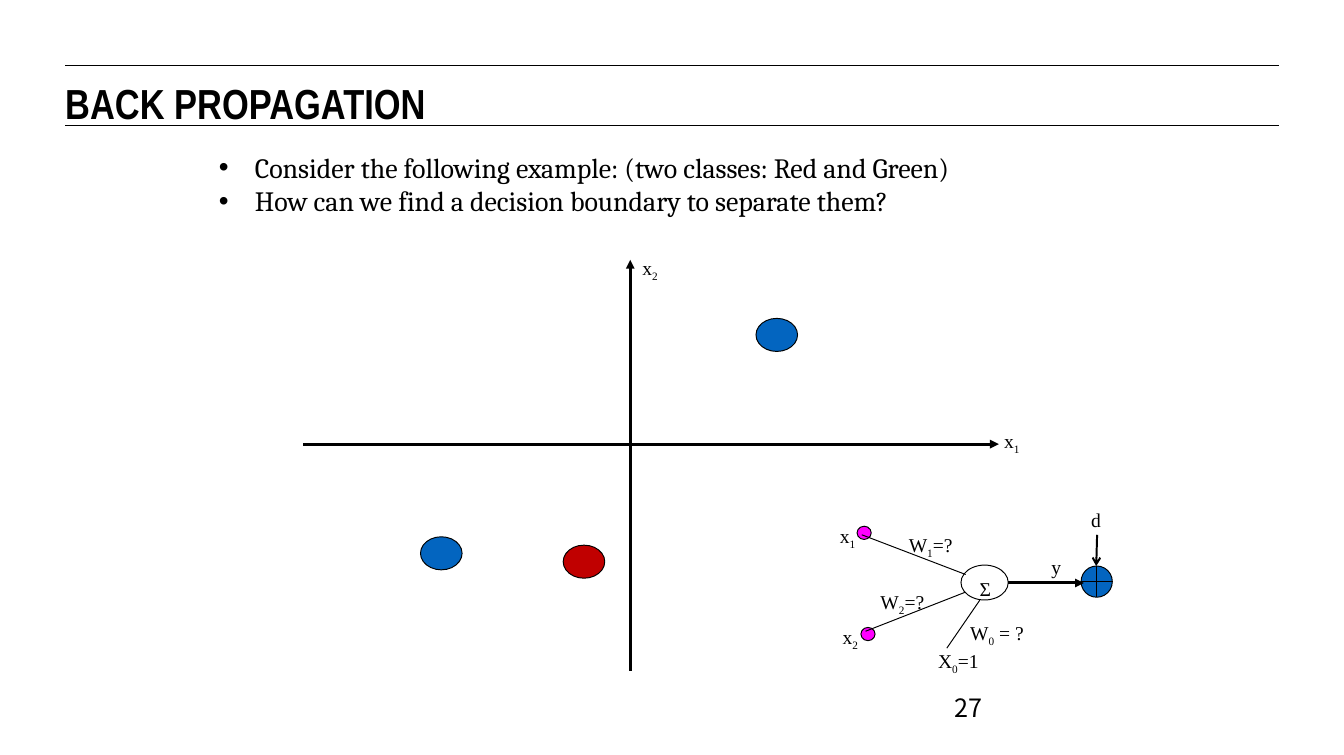
from dataclasses import dataclass

from lxml import etree
from pptx import Presentation
from pptx.dml.color import RGBColor
from pptx.enum.shapes import MSO_CONNECTOR, MSO_SHAPE
from pptx.enum.text import MSO_ANCHOR, MSO_AUTO_SIZE, PP_ALIGN
from pptx.oxml.ns import qn
from pptx.util import Pt

STRAIGHT = MSO_CONNECTOR.STRAIGHT
ELLIPSE, CROSSED_CIRCLE = MSO_SHAPE.OVAL, MSO_SHAPE.FLOWCHART_OR
TOP, LEFT = MSO_ANCHOR.TOP, PP_ALIGN.LEFT
GROW, FIXED = MSO_AUTO_SIZE.SHAPE_TO_FIT_TEXT, MSO_AUTO_SIZE.NONE


@dataclass(frozen=True)
class Theme:
    ink: str = "000000"
    blue: str = "0365C0"
    red: str = "C00000"
    pink: str = "FF00FF"
    title_font: str = "Arial Narrow"
    body_font: str = "Cambria"
    label_font: str = "Times New Roman"
    number_font: str = "Noto Sans CJK KR"
    title_size: float = 32
    body_size: float = 21.3
    label_size: float = 14.9
    number_size: float = 19.2
    thin: float = 0.75
    medium: float = 1.5
    thick: float = 2.25


THEME = Theme()

# Content: all lengths in points
PAGE_SIZE = (1024, 575.3)
TITLE = "BACK PROPAGATION"
BULLETS = [
    "Consider the following example: (two classes: Red and Green)",
    "How can we find a decision boundary to separate them?",
]
PAGE_NUMBER = "27"
MARGIN = 49.7
RULE_TOPS = (49.7, 95.8)
BULLET_INDENT = 27.4
LABEL_HEIGHT = 25.9

# Lines: start, end, width, arrowhead
AXES = [
    ((480.2, 511.2), (480.2, 198), THEME.thick, "triangle"),
    ((231.1, 338.4), (761, 338.4), THEME.thick, "triangle"),
]
NEURON_LINES = [
    ((656.6, 407.5), (735.8, 437.8), THEME.thin, None),
    ((659.5, 481), (735.1, 451.4), THEME.thin, None),
    ((721.4, 493.9), (746.6, 457.2), THEME.thin, None),
    ((768.2, 444.2), (825.8, 444.2), THEME.thick, "triangle"),
    ((835.9, 407.5), (835.2, 431.3), THEME.medium, "arrow"),
]

# Shapes: kind, left, top, width, height, fill
SAMPLE_SIZE, INPUT_SIZE = (31.7, 25.2), (10.8, 10.1)
SAMPLES = [
    (ELLIPSE, 429.1, 415.4, *SAMPLE_SIZE, THEME.red),
    (ELLIPSE, 576, 242.6, *SAMPLE_SIZE, THEME.blue),
    (ELLIPSE, 320.4, 409, *SAMPLE_SIZE, THEME.blue),
]
NEURON_NODES = [
    (ELLIPSE, 655.9, 478.1, *INPUT_SIZE, THEME.pink),
    (ELLIPSE, 653, 401, *INPUT_SIZE, THEME.pink),
    (ELLIPSE, 732.2, 430.6, 36, 26.6, None),
    (CROSSED_CIRCLE, 823.7, 431.3, 23.8, 23.8, THEME.blue),
]

# Labels: text pieces (normal, subscript, normal), left, top, width
AXIS_LABELS = [
    (("x", "1"), 757.4, 323.3, 28.1),
    (("x", "2"), 481.7, 191.5, 28.1),
]
NEURON_LABELS = [
    (("x", "1"), 632.2, 395.3, 28.1),
    (("x", "2"), 634.3, 472.3, 28.1),
    (("X", "0", "=1"), 707, 491, 47.5),
    (("W", "0", " = ?"), 731.5, 469.4, 57.6),
    (("W", "1", "=?"), 684.7, 402.5, 49.7),
    (("W", "2", "=?"), 663.1, 445.7, 49.7),
    (("Σ",), 738.7, 435.6, 24.5),
    (("y",), 793.4, 419, 23),
    (("d",), 823.7, 383, 23),
]


def style(span, name, size, bold=False):
    span.font.name, span.font.size, span.font.bold = name, Pt(size), bold
    span.font.color.rgb = RGBColor.from_string(THEME.ink)


def outline(line, width):
    line.color.rgb = RGBColor.from_string(THEME.ink)
    line.width = Pt(width)


def add_line(home, start, end, width, head=None):
    line = home.add_connector(STRAIGHT, *map(Pt, start + end))
    outline(line.line, width)
    properties = line._element.spPr
    if head:
        etree.SubElement(properties.find(qn("a:ln")), qn("a:tailEnd"), type=head)
    etree.SubElement(properties, qn("a:effectLst"))


def add_node(home, kind, left, top, width, height, fill):
    node = home.add_shape(kind, Pt(left), Pt(top), Pt(width), Pt(height))
    node.shadow.inherit = False
    outline(node.line, THEME.thin)
    if fill:
        node.fill.solid()
        node.fill.fore_color.rgb = RGBColor.from_string(fill)
    else:
        node.fill.background()


def add_box(home, left, top, width, height, wrap=True, fit=FIXED):
    box = home.add_textbox(Pt(left), Pt(top), Pt(width), Pt(height))
    frame = box.text_frame
    frame.word_wrap, frame.auto_size = wrap, fit
    frame.margin_left = frame.margin_right = Pt(7.7)
    frame.margin_top = frame.margin_bottom = Pt(3.8)
    return frame


def add_label(home, pieces, left, top, width):
    frame = add_box(home, left, top, width, LABEL_HEIGHT, wrap=False, fit=GROW)
    para = frame.paragraphs[0]
    for index, piece in enumerate(pieces):
        span = para.add_run()
        span.text = piece
        style(span, THEME.label_font, THEME.label_size)
        if index == 1:
            span.font._element.set("baseline", "-25000")


def add_diagram(home, nodes, lines, labels):
    for node in nodes:
        add_node(home, *node)
    for line in lines:
        add_line(home, *line)
    for label in labels:
        add_label(home, *label)


def main():
    deck = Presentation()
    deck.slide_width, deck.slide_height = map(Pt, PAGE_SIZE)
    page = deck.slides.add_slide(deck.slide_layouts[5])

    # Title between two rules
    for top in RULE_TOPS:
        add_line(page.shapes, (MARGIN, top), (PAGE_SIZE[0] - MARGIN, top), THEME.thin)
    title = page.shapes.title
    title.left, title.top, title.width, title.height = map(Pt, (MARGIN, 58.8, 924, 33.8))
    frame = title.text_frame
    frame.text = TITLE
    frame.auto_size, frame.vertical_anchor = FIXED, TOP
    frame.margin_left = frame.margin_right = frame.margin_top = frame.margin_bottom = 0
    frame.paragraphs[0].alignment = LEFT
    style(frame.paragraphs[0].runs[0], THEME.title_font, THEME.title_size, bold=True)

    # Bullets
    frame = add_box(page.shapes, 159.1, 110.9, 722.2, 59, fit=GROW)
    frame.text = "\n".join(BULLETS)
    for para in frame.paragraphs:
        properties = para._p.get_or_add_pPr()
        properties.set("marL", str(Pt(BULLET_INDENT)))
        properties.set("indent", str(-Pt(BULLET_INDENT)))
        etree.SubElement(properties, qn("a:buFont"), typeface="Arial")
        etree.SubElement(properties, qn("a:buChar"), char="•")
        style(para.runs[0], THEME.body_font, THEME.body_size)

    # Scatter plot and neuron
    add_diagram(page.shapes, SAMPLES, AXES, AXIS_LABELS)
    neuron = page.shapes.add_group_shape()
    add_diagram(neuron.shapes, NEURON_NODES, NEURON_LINES, NEURON_LABELS)

    # Page number
    frame = add_box(page.shapes, 719.3, 523.4, 159.8, 38.2)
    frame.text = PAGE_NUMBER
    style(frame.paragraphs[0].runs[0], THEME.number_font, THEME.number_size)

    deck.save("out.pptx")


if __name__ == "__main__":
    main()
